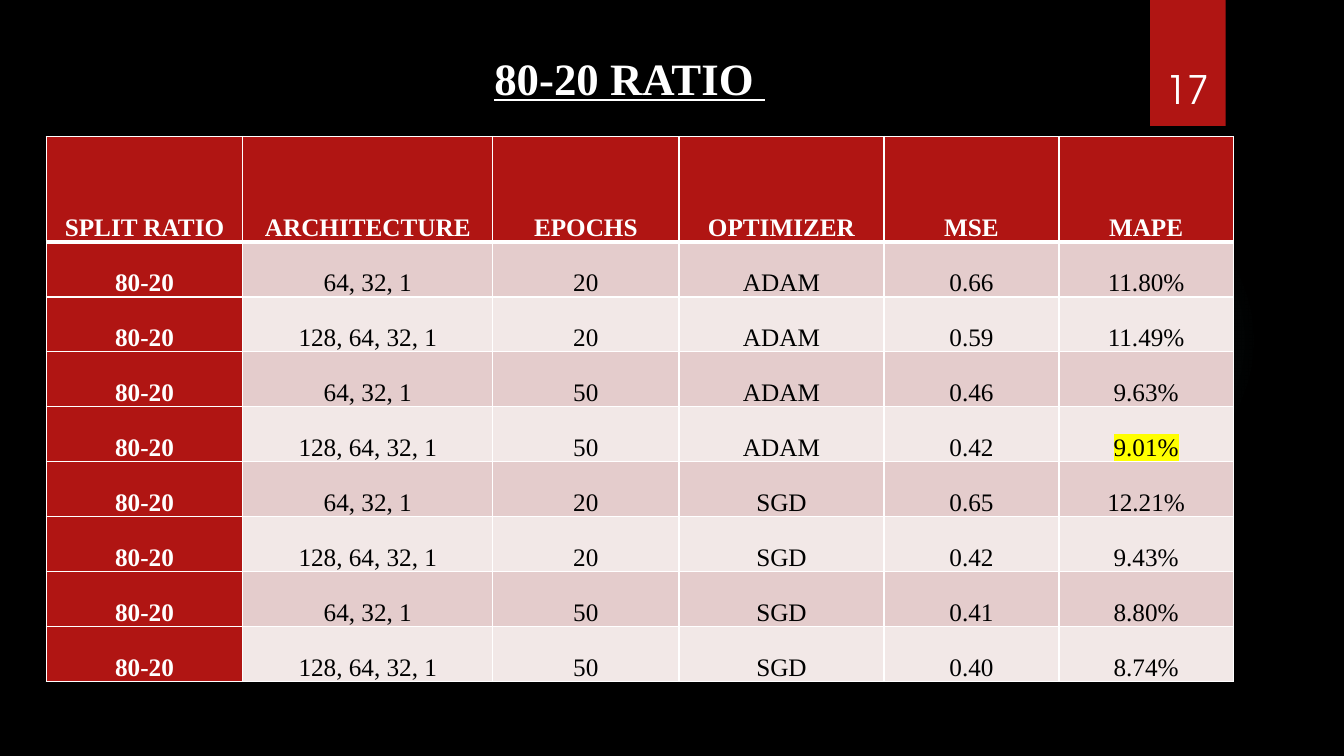
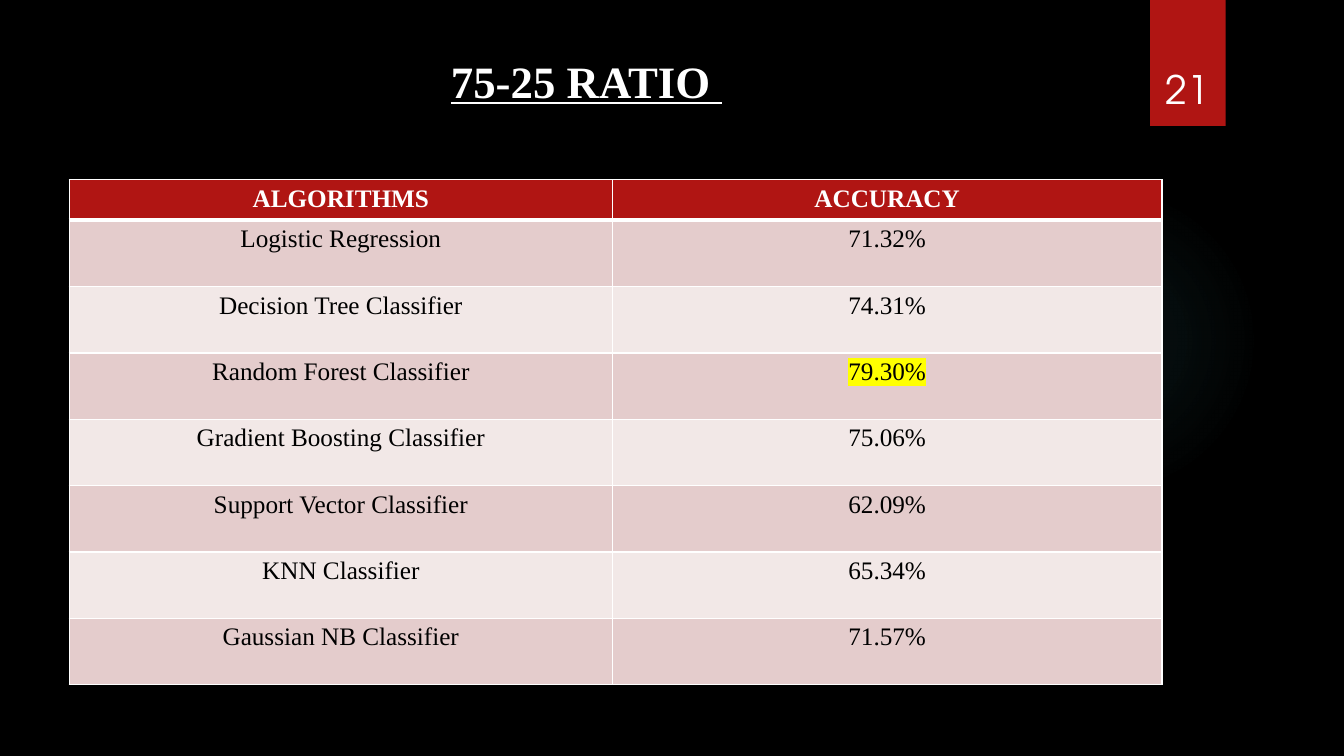
import lxml.etree
import pptx
import pptx.dml.color
import pptx.enum.shapes
import pptx.enum.text
import pptx.oxml.ns
import pptx.util

Pt = pptx.util.Pt
RGBColor = pptx.dml.color.RGBColor
Align = pptx.enum.text.PP_ALIGN
Anchor = pptx.enum.text.MSO_ANCHOR
Shape = pptx.enum.shapes.MSO_SHAPE

BLACK = RGBColor(0x00, 0x00, 0x00)
WHITE = RGBColor(0xFF, 0xFF, 0xFF)
RED = RGBColor(0xB0, 0x15, 0x13)
TEAL = RGBColor(0x50, 0xB9, 0xC1)
BANDS = (RGBColor(0xE4, 0xCC, 0xCC), RGBColor(0xF2, 0xE8, 0xE7))
YELLOW = RGBColor(0xFF, 0xFF, 0x00)
SERIF = "Times New Roman"
SANS = "TeX Gyre Adventor"

RATIOS = [
    ("SPLIT RATIO", "ARCHITECTURE", "EPOCHS", "OPTIMIZER", "MSE", "MAPE"),
    ("80-20", "64, 32, 1", "20", "ADAM", "0.66", "11.80%"),
    ("80-20", "128, 64, 32, 1", "20", "ADAM", "0.59", "11.49%"),
    ("80-20", "64, 32, 1", "50", "ADAM", "0.46", "9.63%"),
    ("80-20", "128, 64, 32, 1", "50", "ADAM", "0.42", "9.01%"),
    ("80-20", "64, 32, 1", "20", "SGD", "0.65", "12.21%"),
    ("80-20", "128, 64, 32, 1", "20", "SGD", "0.42", "9.43%"),
    ("80-20", "64, 32, 1", "50", "SGD", "0.41", "8.80%"),
    ("80-20", "128, 64, 32, 1", "50", "SGD", "0.40", "8.74%"),
]
SCORES = [
    ("ALGORITHMS", "ACCURACY"),
    ("Logistic Regression", "71.32%"),
    ("Decision Tree Classifier", "74.31%"),
    ("Random Forest Classifier", "79.30%"),
    ("Gradient Boosting Classifier", "75.06%"),
    ("Support Vector Classifier", "62.09%"),
    ("KNN Classifier", "65.34%"),
    ("Gaussian NB Classifier", "71.57%"),
]


def node(base, tag, **attrs):
    child = lxml.etree.SubElement(base, pptx.oxml.ns.qn("a:" + tag))
    for key, value in attrs.items():
        child.set(key, str(value))
    return child


def tint(base, color, alpha):
    node(node(base, "srgbClr", val=color), "alpha", val=alpha * 1000)


def style(frame, text, size, font, color, bold=False, align=Align.LEFT):
    frame.text = text
    para = frame.paragraphs[0]
    para.alignment = align
    run = para.runs[0]
    run.font.size = Pt(size)
    run.font.name = font
    run.font.bold = bold
    run.font.color.rgb = color
    return run


def add_plain(slide, kind, left, top, width, height):
    shape = slide.shapes.add_shape(kind, Pt(left), Pt(top), Pt(width), Pt(height))
    shape.line.fill.background()
    shape.shadow.inherit = False
    return shape


def add_text(slide, left, top, width, height):
    frame = slide.shapes.add_textbox(Pt(left), Pt(top), Pt(width), Pt(height)).text_frame
    frame.word_wrap = True
    return frame


def add_glow(slide, left, top, size):
    props = add_plain(slide, Shape.OVAL, left, top, size, size)._element.spPr
    grad = node(props, "gradFill", rotWithShape=1)
    stops = node(grad, "gsLst")
    for place, alpha in ((0, 7), (36, 6), (69, 0), (100, 0)):
        tint(node(stops, "gs", pos=place * 1000), TEAL, alpha)
    ring = node(grad, "path", path="circle")
    node(ring, "fillToRect", l=50000, t=50000, r=50000, b=50000)
    props.insert(2, grad)


def add_flag(slide, number, left, top, width, height):
    flag = add_plain(slide, Shape.RECTANGLE, left, top, width, height)
    flag.fill.solid()
    flag.fill.fore_color.rgb = RED
    effects = flag._element.spPr.find(pptx.oxml.ns.qn("a:effectLst"))
    shade = node(effects, "outerShdw", blurRad=Pt(3), dist=Pt(2), dir=5400000, rotWithShape=0)
    tint(shade, BLACK, 45)
    frame = add_text(slide, left - 6.5, top + 23, width + 12, height - 29.5)
    frame.vertical_anchor = Anchor.BOTTOM
    style(frame, number, 28, SANS, WHITE, align=Align.CENTER)


def add_title(slide, text, left, top, width):
    run = style(add_text(slide, left, top, width, 46), text, 32, SERIF, WHITE, True)
    run.font.underline = True


def set_edges(cell, row):
    props = cell._tc.get_or_add_tcPr()
    widths = {"lnL": 1, "lnR": 1, "lnT": 3 if row == 1 else 1, "lnB": 3 if row == 0 else 1}
    for spot, (tag, width) in enumerate(widths.items()):
        edge = node(props, tag, w=Pt(width))
        node(node(edge, "solidFill"), "srgbClr", val=WHITE)
        props.insert(spot, edge)


def mark(run):
    props = run.font._element
    light = node(props, "highlight")
    node(light, "srgbClr", val=YELLOW)
    props.find(pptx.oxml.ns.qn("a:solidFill")).addnext(light)


def add_grid(slide, data, left, top, widths, head, pitch, best, tight=False):
    full = head + pitch * (len(data) - 1)
    table = slide.shapes.add_table(
        len(data), len(widths), Pt(left), Pt(top), Pt(sum(widths)), Pt(full)
    ).table
    table.first_row = table.horz_banding = False
    for column, width in zip(table.columns, widths):
        column.width = Pt(width)
    for i, values in enumerate(data):
        table.rows[i].height = Pt(pitch if i else head)
        for j, text in enumerate(values):
            cell = table.cell(i, j)
            strong = i == 0 or (tight and j == 0)
            cell.fill.solid()
            cell.fill.fore_color.rgb = RED if strong else BANDS[(i - 1) % 2]
            color = WHITE if strong else BLACK
            run = style(cell.text_frame, text, 18, SERIF, color, strong, Align.CENTER)
            if tight:
                cell.vertical_anchor = Anchor.BOTTOM
                cell.margin_left = cell.margin_right = Pt(5)
                cell.margin_top = cell.margin_bottom = Pt(0)
                para = cell.text_frame.paragraphs[0]
                para.line_spacing = 1.07
                para.space_after = Pt(8)
            if text == best:
                mark(run)
            set_edges(cell, i)


def add_base(deck, number):
    slide = deck.slides.add_slide(deck.slide_layouts[6])
    add_glow(slide, 677.5, 132, 222)
    add_flag(slide, number, 821.5, 0, 54, 90)
    return slide


def add_ratio(deck):
    slide = add_base(deck, "17")
    widths = (140.5, 178.5, 133, 146.5, 125, 124.5)
    add_grid(slide, RATIOS, 33, 97.5, widths, 75.4, 39.25, "9.01%", True)
    add_title(slide, "80-20 RATIO ", 346, 32.5, 480)


def add_score(deck):
    slide = add_base(deck, "21")
    add_title(slide, "75-25 RATIO ", 315, 34.5, 506)
    add_grid(slide, SCORES, 49.5, 128.5, (388, 392.5), 28, 47.4, "79.30%")


def main():
    deck = pptx.Presentation()
    deck.slide_width, deck.slide_height = Pt(960), Pt(540)
    ground = deck.slide_master.background.fill
    ground.solid()
    ground.fore_color.rgb = BLACK
    add_ratio(deck)
    add_score(deck)
    deck.save("out.pptx")


if __name__ == "__main__":
    main()
